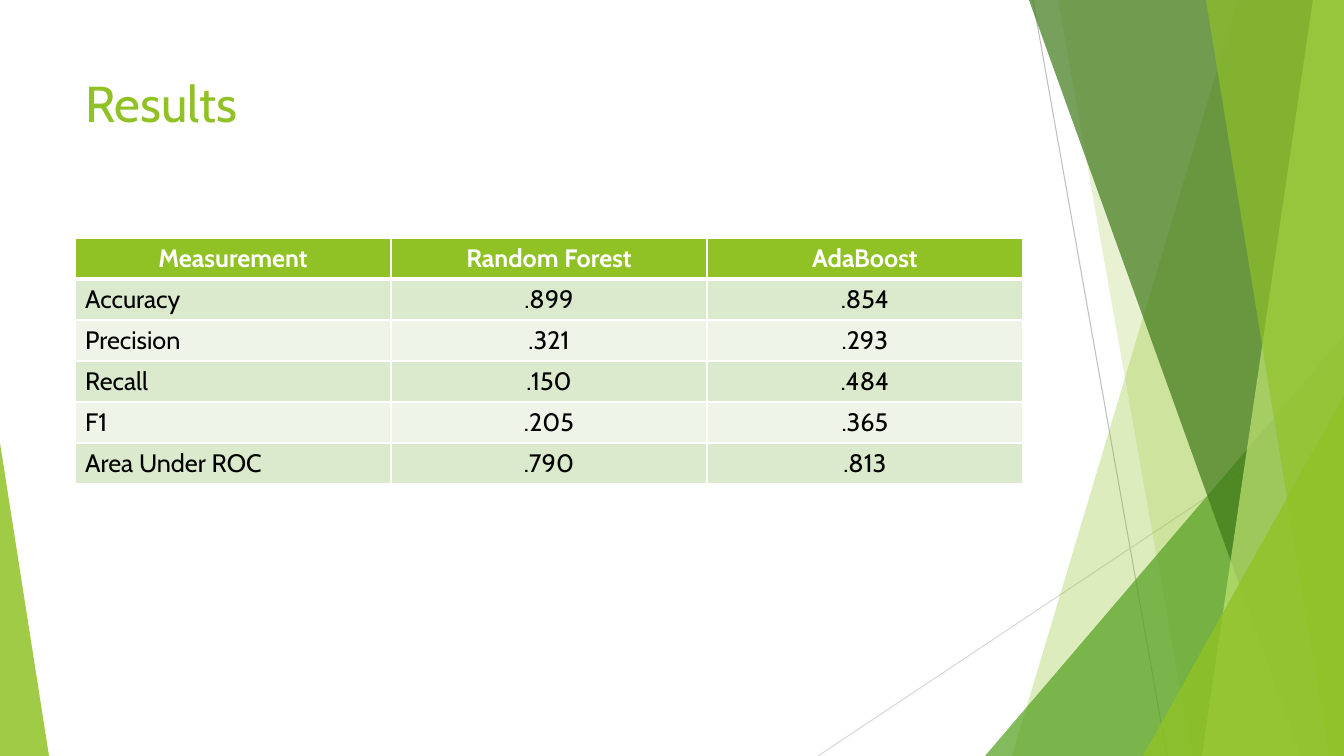
from lxml.etree import SubElement
from pptx import Presentation
from pptx.dml.color import RGBColor
from pptx.enum.shapes import MSO_CONNECTOR as Connector, MSO_SHAPE as Shape
from pptx.enum.text import MSO_ANCHOR as Anchor, PP_ALIGN as Align
from pptx.oxml import parse_xml
from pptx.oxml.ns import nsdecls, qn
from pptx.util import Pt

EMU_PER_PIXEL = 914400 / 100.8
WIDTH, HEIGHT = 1344, 756


def px(value):
    return round(value * EMU_PER_PIXEL)


def color(hex_string):
    return RGBColor.from_string(hex_string)


class SlideBuilder:
    font = "Cabin"
    green = "90C226"
    white = "FFFFFF"
    black = "000000"
    bands = ("EEF4E8", "DBE9CD")

    def __init__(self, slide):
        self.slide = slide
        self.shapes = slide.shapes

    def paint(self, shape, fill, opacity):
        shape.shadow.inherit = False
        shape.fill.solid()
        shape.fill.fore_color.rgb = color(fill)
        shape.line.fill.background()
        fill_color = shape._element.spPr.find(qn("a:solidFill"))[0]
        SubElement(fill_color, qn("a:alpha"), val=str(opacity * 1000))

    def line(self, start, end, line_color):
        connector = self.shapes.add_connector(
            Connector.STRAIGHT, *map(px, start + end))
        connector.line.color.rgb = color(line_color)
        connector.line.width = Pt(0.75)
        SubElement(connector._element.spPr, qn("a:effectLst"))

    def right_band(self, top_x, bottom_x, fill, opacity):
        builder = self.shapes.build_freeform(top_x, 0, EMU_PER_PIXEL)
        builder.add_line_segments(
            [(WIDTH, 0), (WIDTH, HEIGHT), (bottom_x, HEIGHT)])
        self.paint(builder.convert_to_shape(), fill, opacity)

    def bottom_triangle(self, left, right, top, peak, fill, opacity):
        triangle = self.shapes.add_shape(
            Shape.ISOSCELES_TRIANGLE,
            px(left), px(top), px(right - left), px(HEIGHT - top))
        triangle.adjustments[0] = peak
        self.paint(triangle, fill, opacity)

    def style_text(self, paragraph, size, text_color, bold=False):
        font = paragraph.font
        font.name, font.size, font.bold = self.font, Pt(size), bold
        font.color.rgb = color(text_color)

    def title(self, text, left, top, width, height):
        title = self.shapes.title
        title.left, title.top = px(left), px(top)
        title.width, title.height = px(width), px(height)
        frame = title.text_frame
        frame.text = text
        frame.word_wrap = True
        frame.vertical_anchor = Anchor.TOP
        paragraph = frame.paragraphs[0]
        paragraph.alignment = Align.LEFT
        self.style_text(paragraph, 36, self.green)

    def cell_borders(self, cell, top, bottom):
        properties = cell._tc.get_or_add_tcPr()
        widths = {"lnL": 1, "lnR": 1, "lnT": top, "lnB": bottom}
        for index, (side, width) in enumerate(widths.items()):
            properties.insert(index, parse_xml(
                f'<a:{side} {nsdecls("a")} w="{Pt(width)}"><a:solidFill>'
                f'<a:srgbClr val="{self.white}"/></a:solidFill></a:{side}>'))

    def table(self, rows, left, top, column_width, row_height):
        column_count = len(rows[0])
        table = self.shapes.add_table(
            len(rows), column_count, px(left), px(top),
            px(column_width * column_count), px(row_height * len(rows))).table
        for column in table.columns:
            column.width = px(column_width)
        for row_index, values in enumerate(rows):
            table.rows[row_index].height = px(row_height)
            header = row_index == 0
            fill = self.green if header else self.bands[row_index % 2]
            for column_index, value in enumerate(values):
                cell = table.cell(row_index, column_index)
                cell.text = value
                cell.fill.solid()
                cell.fill.fore_color.rgb = color(fill)
                self.cell_borders(cell, top=3 if row_index == 1 else 1,
                                  bottom=3 if header else 1)
                paragraph = cell.text_frame.paragraphs[0]
                centered = header or column_index > 0
                paragraph.alignment = Align.CENTER if centered else Align.LEFT
                self.style_text(
                    paragraph, 18, self.white if header else self.black, header)


presentation = Presentation()
presentation.slide_width, presentation.slide_height = px(WIDTH), px(HEIGHT)
title_only = presentation.slide_layouts[5]
results = SlideBuilder(presentation.slides.add_slide(title_only))
green = results.green

results.line((1033, 0), (1167, HEIGHT), "BFBFBF")
results.line((WIDTH, 406), (818, HEIGHT), "D9D9D9")
results.right_band(1238, 1012, green, 30)
results.right_band(1058, 1192, green, 20)
results.bottom_triangle(985, WIDTH, 336, 1, "54A021", 72)
results.right_band(1029, 1301, "3F7819", 70)
results.right_band(1313, 1202, "C0E474", 70)
results.right_band(1206, 1329, green, 65)
results.bottom_triangle(1143, WIDTH, 396, 1, green, 80)
results.bottom_triangle(0, 49, 443, 0, green, 85)

results.title("Results", 75, 67, 948, 145)
results.table([
    ("Measurement", "Random Forest", "AdaBoost"),
    ("Accuracy", ".899", ".854"),
    ("Precision", ".321", ".293"),
    ("Recall", ".150", ".484"),
    ("F1", ".205", ".365"),
    ("Area Under ROC", ".790", ".813"),
], left=75, top=238, column_width=316, row_height=41)

presentation.save("out.pptx")
